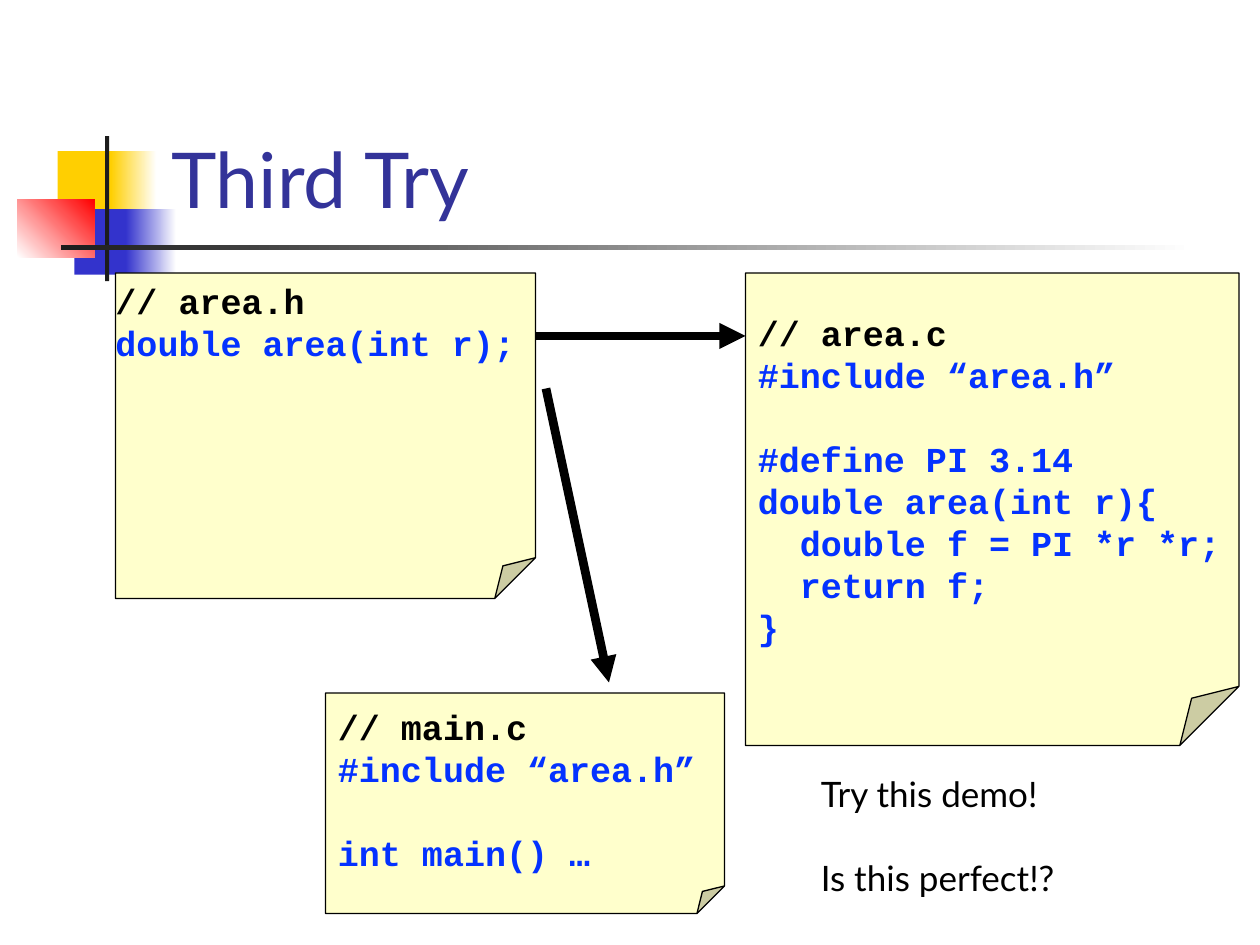
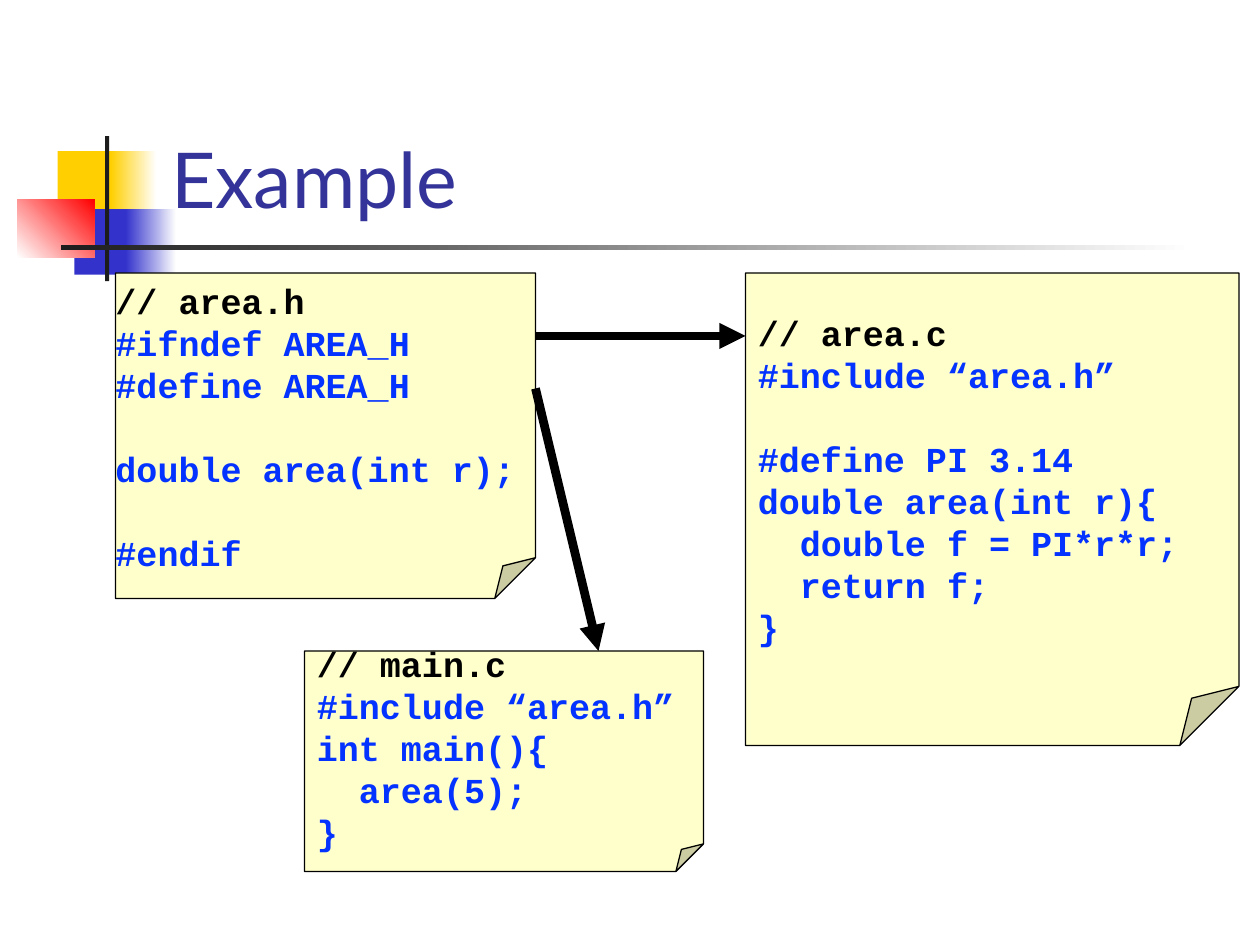
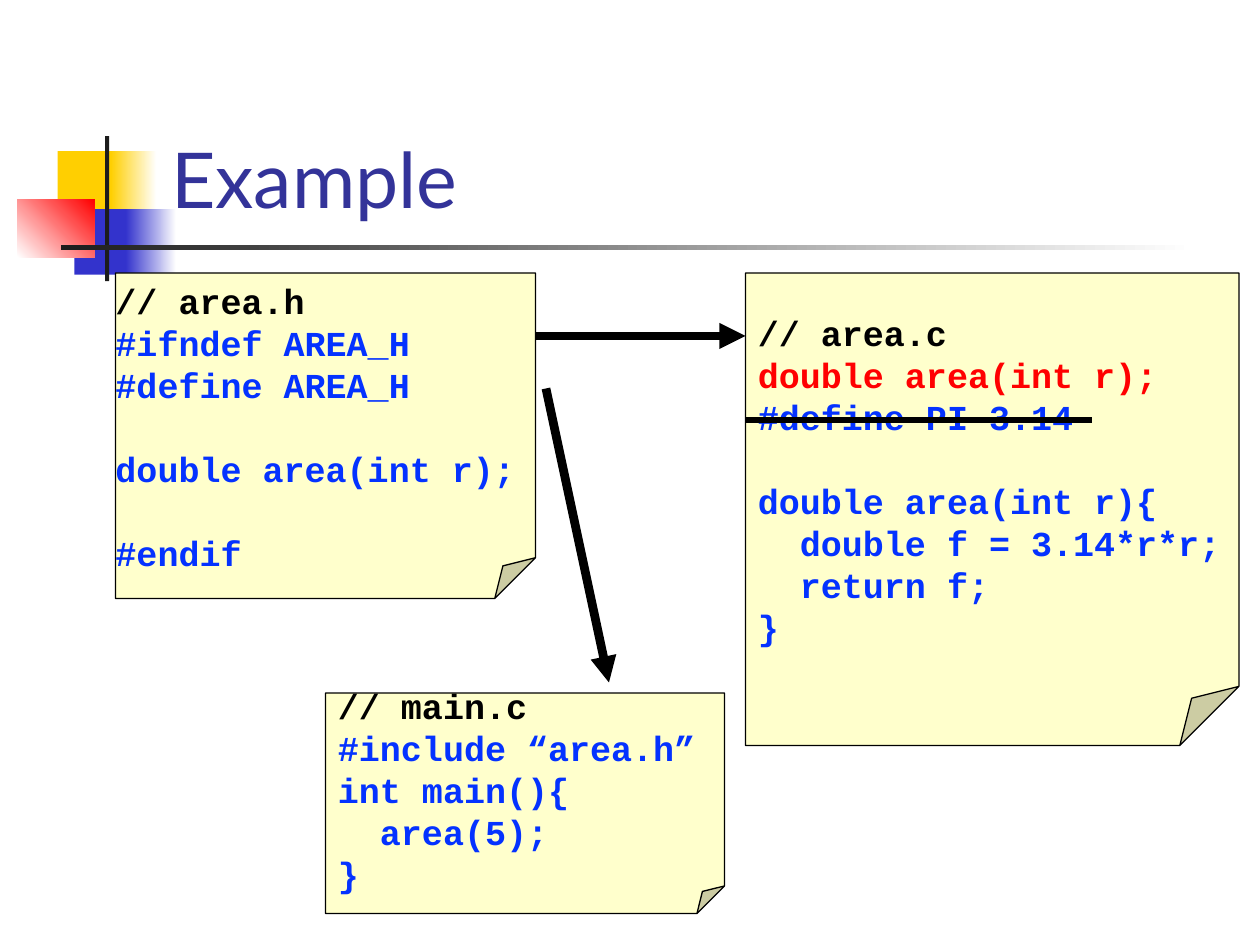
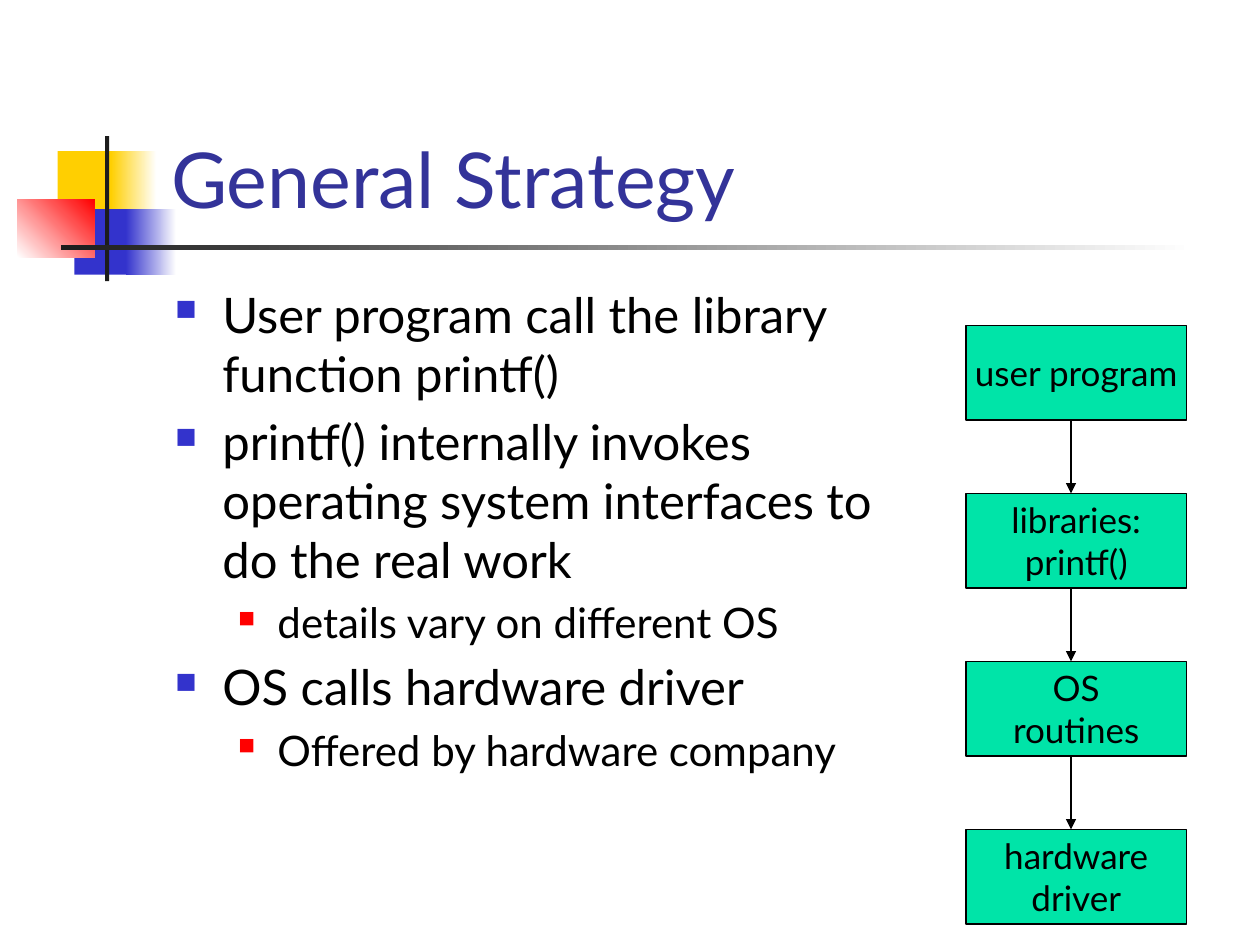
from dataclasses import dataclass
from typing import Optional

import pptx
import pptx.dml.color
import pptx.enum.shapes
import pptx.enum.text
import pptx.oxml.ns
import pptx.util
from lxml import etree

Pt = pptx.util.Pt
Shapes = pptx.enum.shapes.MSO_SHAPE
Anchor = pptx.enum.text.MSO_ANCHOR
Align = pptx.enum.text.PP_ALIGN
qualified = pptx.oxml.ns.qn

BLACK, WHITE, RED = "000000", "FFFFFF", "FF0000"
YELLOW, BLUE, CHARCOAL = "FFCF01", "3333CC", "1C1C1C"
TITLE_COLOR, CODE_COLOR = "333399", "0432FF"
NOTE_FILL, STEP_FILL = "FFFFCC", "00E4A8"
TEXT_FONT, CODE_FONT = "Lato", "Courier New"
CODE_LEADING = 24


@dataclass(frozen=True)
class Area:
    left: float
    top: float
    width: float
    height: float

    def lengths(self) -> list:
        return [Pt(value) for value in (self.left, self.top, self.width, self.height)]


@dataclass(frozen=True)
class Band:
    area: Area
    color: str
    fade_to: Optional[str] = None
    angle: float = 0


@dataclass(frozen=True)
class CodeNote:
    area: Area
    code: str
    anchor: Anchor = Anchor.MIDDLE
    left_inset: float = 7.2
    highlight: str = ""


@dataclass(frozen=True)
class Line:
    start: tuple
    end: tuple
    width: float = 5
    arrow: bool = True


@dataclass(frozen=True)
class BulletStyle:
    size: float
    color: str
    percent: int
    indent: float
    hanging: float


BANDS = [
    Band(Area(33, 86.4, 34.5, 37.4), YELLOW),
    Band(Area(63.4, 86.4, 26, 37.4), YELLOW, WHITE),
    Band(Area(42.5, 119.5, 33, 37.4), BLUE),
    Band(Area(72, 119.5, 28.8, 37.4), BLUE, WHITE),
    Band(Area(10, 113.8, 44, 33.2), WHITE, RED, 45),
    Band(Area(60, 77.8, 2.4, 82.8), CHARCOAL),
    Band(Area(34.6, 140.2, 648, 2.4), CHARCOAL, WHITE),
]
TITLE_AREA = Area(90.7, 16.5, 613.5, 115.2)
HEADER_AREA = Area(66, 156, 240, 186)
SOURCE_AREA = Area(426, 156, 282, 270)
MAIN_AREA = Area(186, 396, 228, 126)
RAISED_MAIN_AREA = Area(174, 372, 228, 126)

TO_SOURCE = Line((306, 192), (426, 192))
TO_MAIN = Line((312, 222), (348, 390))
TO_RAISED_MAIN = Line((306, 222), (342, 372))
STRIKE = Line((426, 240), (624, 240), width=3, arrow=False)

PLAIN_HEADER = """// area.h
double area(int r);"""
GUARDED_HEADER = """// area.h
#ifndef AREA_H
#define AREA_H

double area(int r);

#endif"""
SHORT_MAIN = """// main.c
#include “area.h”

int main() …"""
FULL_MAIN = """// main.c
#include “area.h”
int main(){
  area(5);
}"""
SOURCE_START = """// area.c
#include “area.h”

#define PI 3.14
"""
EXPANDED_START = """// area.c
double area(int r);
#define PI 3.14

"""
FUNCTION = """double area(int r){{
  double f = {};
  return f;
}}"""

BULLET_STYLES = [
    BulletStyle(28, BLUE, 60, 27, 27),
    BulletStyle(24, RED, 55, 58.5, 22.5),
]
BULLETS = [
    (0, "User program call the library function printf()"),
    (0, "printf() internally invokes operating system interfaces to do the real work"),
    (1, "details vary on different OS"),
    (0, "OS calls hardware driver"),
    (1, "Offered by hardware company"),
]
STEPS = ["user program", "libraries:\nprintf()", "OS\nroutines", "hardware\ndriver"]
STEP_TOP, STEP_HEIGHT, STEP_PITCH = 186, 54, 96
STEP_ARROW_X = 612


def rgb(color: str) -> pptx.dml.color.RGBColor:
    return pptx.dml.color.RGBColor.from_string(color)


def add_text(frame, text: str, *, size: float = 20, font: str = TEXT_FONT,
             color: str = BLACK, bold: bool = False, align=Align.LEFT,
             before: float = 0, leading: Optional[float] = None):
    """Add one paragraph, using the frame's first one while it is empty."""
    para = frame.paragraphs[0]
    if para.runs:
        para = frame.add_paragraph()
        if before:
            para.space_before = Pt(before)
    para.alignment = align
    if leading:
        para.line_spacing = Pt(leading)
    span = para.add_run()
    span.text = text
    span.font.size = Pt(size)
    span.font.name = font
    span.font.bold = bold
    span.font.color.rgb = rgb(color)
    return para


def add_text_box(page, area: Area, anchor=Anchor.TOP):
    frame = page.shapes.add_textbox(*area.lengths()).text_frame
    frame.word_wrap = True
    frame.vertical_anchor = anchor
    return frame


def add_box(page, preset, area: Area, fill: str, outlined: bool = True):
    box = page.shapes.add_shape(preset, *area.lengths())
    box.shadow.inherit = False
    box.fill.solid()
    box.fill.fore_color.rgb = rgb(fill)
    if outlined:
        box.line.color.rgb = rgb(BLACK)
        box.line.width = Pt(0.75)
    else:
        box.line.fill.background()
    return box


def add_band(page, band: Band) -> None:
    box = add_box(page, Shapes.RECTANGLE, band.area, band.color, outlined=False)
    if band.fade_to:
        box.fill.gradient()
        box.fill.gradient_angle = band.angle
        for stop, color in zip(box.fill.gradient_stops, (band.color, band.fade_to)):
            stop.color.rgb = rgb(color)


def add_line(page, line: Line) -> None:
    connector = page.shapes.add_connector(
        pptx.enum.shapes.MSO_CONNECTOR.STRAIGHT,
        *[Pt(value) for value in line.start + line.end])
    connector.line.color.rgb = rgb(BLACK)
    connector.line.width = Pt(line.width)
    properties = connector._element.spPr
    if line.arrow:
        outline = properties.find(qualified("a:ln"))
        etree.SubElement(outline, qualified("a:tailEnd"), type="triangle")
    etree.SubElement(properties, qualified("a:effectLst"))


def set_fold(box, share: float) -> None:
    """Set the size of the folded corner, which has no public adjustment."""
    geometry = box._element.spPr.find(qualified("a:prstGeom"))
    guides = geometry.find(qualified("a:avLst"))
    if guides is None:
        guides = etree.SubElement(geometry, qualified("a:avLst"))
    etree.SubElement(guides, qualified("a:gd"), name="adj",
                     fmla=f"val {round(share * 100000)}")


def add_note(page, note: CodeNote) -> None:
    """Draw a sheet of code; an empty code line becomes space before the next."""
    box = add_box(page, Shapes.FOLDED_CORNER, note.area, NOTE_FILL)
    set_fold(box, 0.125)
    frame = box.text_frame
    frame.word_wrap = False
    frame.vertical_anchor = note.anchor
    frame.margin_left = Pt(note.left_inset)
    gap = 0
    for code_line in note.code.split("\n"):
        if not code_line:
            gap += CODE_LEADING
            continue
        color = CODE_COLOR
        if code_line.startswith("//"):
            color = BLACK
        elif code_line == note.highlight:
            color = RED
        add_text(frame, code_line, font=CODE_FONT, color=color, bold=True,
                 before=gap, leading=CODE_LEADING)
        gap = 0


def add_bullet(frame, text: str, style: BulletStyle) -> None:
    para = add_text(frame, text, size=style.size, before=style.size * 0.2)
    properties = para._p.get_or_add_pPr()
    properties.set("marL", str(Pt(style.indent)))
    properties.set("indent", str(-Pt(style.hanging)))
    color = etree.SubElement(properties, qualified("a:buClr"))
    etree.SubElement(color, qualified("a:srgbClr"), val=style.color)
    etree.SubElement(properties, qualified("a:buSzPct"), val=str(style.percent * 1000))
    etree.SubElement(properties, qualified("a:buChar"), char="■")


def add_page(deck, title: str):
    page = deck.slides.add_slide(deck.slide_layouts[6])
    for band in BANDS:
        add_band(page, band)
    add_text(add_text_box(page, TITLE_AREA, Anchor.BOTTOM), title,
             size=44, color=TITLE_COLOR)
    return page


def add_code_page(deck, title: str, header: str, main_note: CodeNote,
                  source_note: CodeNote, to_main: Line):
    page = add_page(deck, title)
    add_note(page, CodeNote(HEADER_AREA, header, Anchor.TOP, left_inset=0))
    add_note(page, main_note)
    add_line(page, to_main)
    add_line(page, TO_SOURCE)
    add_note(page, source_note)
    return page


def add_strategy_page(deck) -> None:
    page = add_page(deck, "General Strategy")
    body = add_text_box(page, Area(93, 159, 429, 324))
    for level, text in BULLETS:
        add_bullet(body, text, BULLET_STYLES[level])
    for index, label in enumerate(STEPS):
        top = STEP_TOP + index * STEP_PITCH
        box = add_box(page, Shapes.RECTANGLE, Area(552, top, 126, STEP_HEIGHT), STEP_FILL)
        frame = box.text_frame
        frame.word_wrap = False
        frame.vertical_anchor = Anchor.MIDDLE
        for text in label.split("\n"):
            add_text(frame, text, align=Align.CENTER)
        if index:
            start = top - STEP_PITCH + STEP_HEIGHT
            add_line(page, Line((STEP_ARROW_X, start), (STEP_ARROW_X, top), width=0.75))


def main() -> None:
    deck = pptx.Presentation()
    deck.slide_width, deck.slide_height = Pt(720), Pt(540)

    third_try = add_code_page(
        deck, "Third Try", PLAIN_HEADER, CodeNote(MAIN_AREA, SHORT_MAIN),
        CodeNote(SOURCE_AREA, SOURCE_START + FUNCTION.format("PI *r *r")), TO_MAIN)
    for top, remark in ((438, "Try this demo!"), (486, "Is this perfect!?")):
        add_text(add_text_box(third_try, Area(462, top, 180, 31)), remark)

    add_code_page(
        deck, "Example", GUARDED_HEADER, CodeNote(RAISED_MAIN_AREA, FULL_MAIN),
        CodeNote(SOURCE_AREA, SOURCE_START + FUNCTION.format("PI*r*r")), TO_RAISED_MAIN)

    expanded = add_code_page(
        deck, "Example", GUARDED_HEADER, CodeNote(MAIN_AREA, FULL_MAIN),
        CodeNote(SOURCE_AREA, EXPANDED_START + FUNCTION.format("3.14*r*r"),
                 highlight="double area(int r);"), TO_MAIN)
    add_line(expanded, STRIKE)

    add_strategy_page(deck)
    deck.save("out.pptx")


if __name__ == "__main__":
    main()
